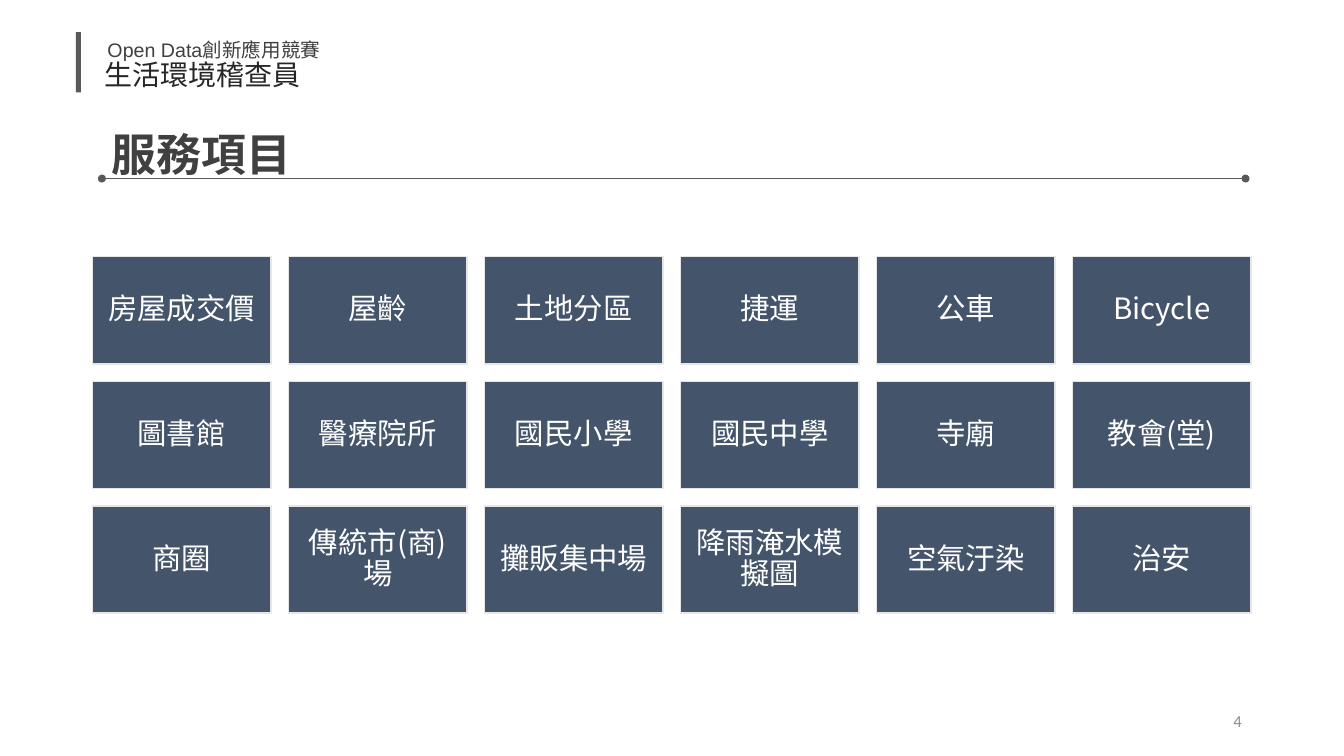
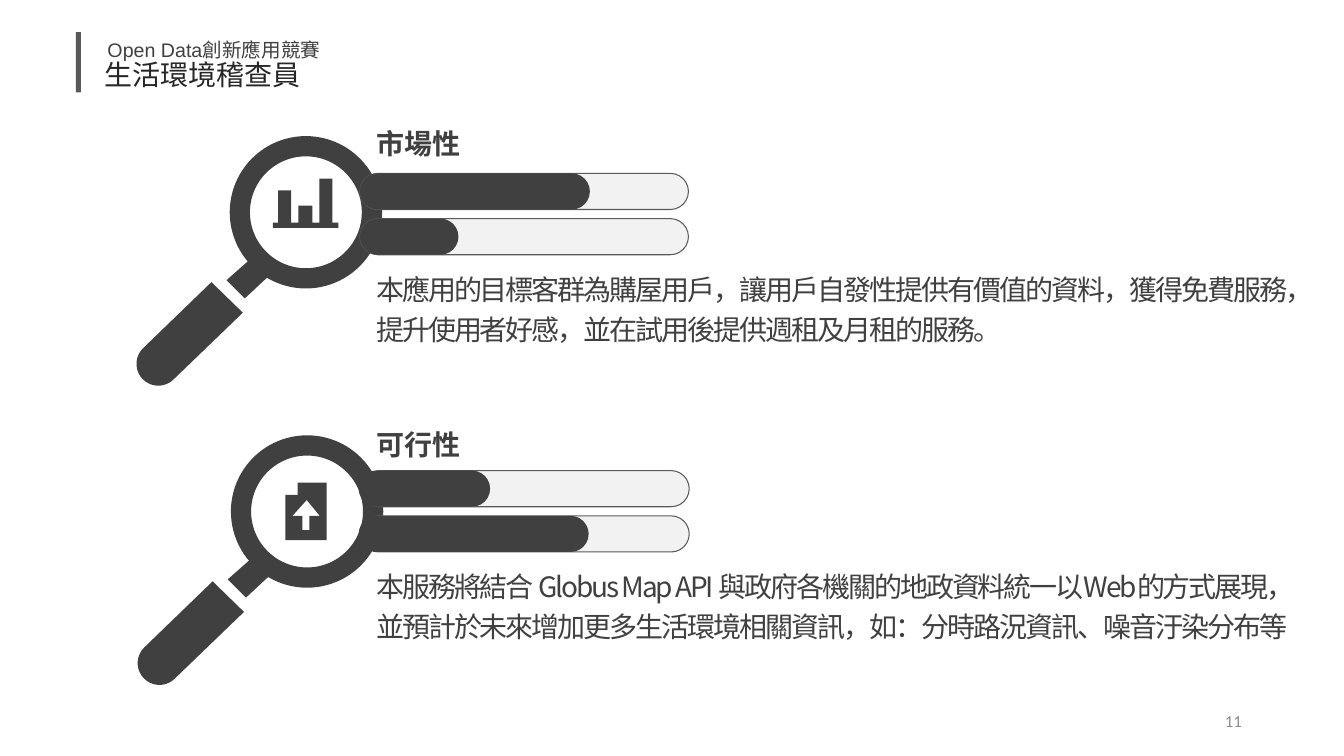
from math import cos, radians, sin

from lxml import etree
from pptx import Presentation
from pptx.dml.color import RGBColor
from pptx.enum.shapes import MSO_CONNECTOR, MSO_SHAPE
from pptx.enum.text import MSO_ANCHOR, MSO_AUTO_SIZE, PP_ALIGN
from pptx.oxml.ns import qn
from pptx.util import Cm, Pt

RECTANGLE, ELLIPSE = MSO_SHAPE.RECTANGLE, MSO_SHAPE.OVAL
PILL, DONUT = MSO_SHAPE.ROUNDED_RECTANGLE, MSO_SHAPE.DONUT
LEFT, CENTER, RIGHT = PP_ALIGN.LEFT, PP_ALIGN.CENTER, PP_ALIGN.RIGHT
TOP, MIDDLE = MSO_ANCHOR.TOP, MSO_ANCHOR.MIDDLE

WHITE = RGBColor(0xFF, 0xFF, 0xFF)
INK = RGBColor(0x26, 0x26, 0x26)
DARK = RGBColor(0x40, 0x40, 0x40)
GRAY = RGBColor(0x59, 0x59, 0x59)
PAGE_GRAY = RGBColor(0x8C, 0x8C, 0x8C)
TRACK = RGBColor(0xF2, 0xF2, 0xF2)
NAVY = RGBColor(0x44, 0x54, 0x6A)
PALE = RGBColor(0xE7, 0xE6, 0xE6)
CJK = "Noto Sans CJK SC"

# Content
CONTEST = "Open Data創新應用競賽"
PROJECT = "生活環境稽查員"
SERVICES_TITLE = "服務項目"
SERVICES = [
    ["房屋成交價", "屋齡", "土地分區", "捷運", "公車", "Bicycle"],
    ["圖書館", "醫療院所", "國民小學", "國民中學", "寺廟", "教會(堂)"],
    ["商圈", "傳統市(商)場", "攤販集中場", "降雨淹水模擬圖", "空氣汙染", "治安"],
]

# Icon outlines in cm, measured from the top left of the lens
CHART_ICON = [[
    (1.09, 2.31), (1.09, 2.18), (1.22, 2.18), (1.22, 1.37), (1.55, 1.37),
    (1.55, 2.18), (1.73, 2.18), (1.73, 1.75), (2.08, 1.75), (2.08, 2.18),
    (2.26, 2.18), (2.26, 1.07), (2.59, 1.07), (2.59, 2.18), (2.74, 2.18),
    (2.74, 2.31),
]]
UPLOAD_ICON = [
    [(1.68, 1.19), (1.68, 1.5), (1.37, 1.5), (1.37, 2.64), (2.41, 2.64), (2.41, 1.19)],
    [(1.55, 2.03), (1.91, 1.63), (2.24, 2.03), (1.98, 2.03), (1.98, 2.39),
     (1.8, 2.39), (1.8, 2.03)],
]
SECTIONS = [
    {"label": "市場性", "shares": [0.7, 0.3], "icon": CHART_ICON,
     "text": "本應用的目標客群為購屋用戶，讓用戶自發性提供有價值的資料，獲得免費服務，"
             "提升使用者好感，並在試用後提供週租及月租的服務。",
     "lens": (5.79, 3.43), "label_top": 3.1, "bars_top": 4.37, "text_top": 6.6,
     "track_left": 9.07, "bar_left": 9.07},
    {"label": "可行性", "shares": [0.4, 0.7], "icon": UPLOAD_ICON,
     "text": "本服務將結合 Globus Map API 與政府各機關的地政資料統一以Web的方式展現，"
             "並預計於未來增加更多生活環境相關資訊，如：分時路況資訊、噪音汙染分布等",
     "lens": (5.82, 10.97), "label_top": 10.67, "bars_top": 11.86, "text_top": 14.07,
     "track_left": 9.09, "bar_left": 9.04},
]

# Layout in cm
TILE_LEFT, TILE_TOP, TILE_WIDTH, TILE_HEIGHT, TILE_GAP = 2.33, 6.47, 4.5, 2.7, 0.44
RULE_LEFT, RULE_RIGHT, RULE_TOP, DOT = 2.57, 31.39, 4.5, 0.2
LENS_SIZE, LENS_RIM = 3.84, 0.51
NECK = [(1.12, 3.4), (0.38, 4.09), (-0.08, 3.63), (0.69, 2.95)]
CAP_X, CAP_Y, CAP_RADIUS = -1.8, 5.74, 0.55
HANDLE = [(0.33, 4.45), (-0.46, 3.68)] + [
    (CAP_X + CAP_RADIUS * cos(radians(angle)), CAP_Y + CAP_RADIUS * sin(radians(angle)))
    for angle in range(225, 44, -10)
]
BAR_WIDTH, BAR_HEIGHT, BAR_PITCH = 8.28, 0.91, 1.14


def write(shape, text, size, color, font=CJK, align=LEFT, bold=False, anchor=TOP,
          spacing=1.0, tracking=None, insets=(0.25, 0.13), wrap=True):
    frame = shape.text_frame
    frame.text = text
    frame.word_wrap = wrap
    frame.auto_size = MSO_AUTO_SIZE.NONE
    frame.vertical_anchor = anchor
    frame.margin_left = frame.margin_right = Cm(insets[0])
    frame.margin_top = frame.margin_bottom = Cm(insets[1])
    para = frame.paragraphs[0]
    para.alignment = align
    para.line_spacing = spacing
    para.font.name = font
    para.font.size = Pt(size)
    para.font.bold = bold
    para.font.color.rgb = color
    # East Asian typeface and letter spacing
    properties = para._p.pPr.find(qn("a:defRPr"))
    etree.SubElement(properties, qn("a:ea"), typeface=font)
    if tracking is not None:
        properties.set("spc", str(int(tracking * 100)))


def add_text(page, at, text, size, color, **style):
    box = page.shapes.add_textbox(*map(Cm, at))
    write(box, text, size, color, **style)


def paint(shape, fill, line=None, weight=1):
    shape.shadow.inherit = False
    shape.fill.solid()
    shape.fill.fore_color.rgb = fill
    if line is None:
        shape.line.fill.background()
    else:
        shape.line.color.rgb = line
        shape.line.width = Pt(weight)


def add_figure(page, kind, at, fill, line=None, weight=1):
    shape = page.shapes.add_shape(kind, *map(Cm, at))
    paint(shape, fill, line, weight)
    return shape


def add_outline(page, origin, contours):
    builder = None
    for contour in contours:
        points = [(Cm(origin[0] + x), Cm(origin[1] + y)) for x, y in contour]
        if builder is None:
            builder = page.shapes.build_freeform(*points[0])
        else:
            builder.move_to(*points[0])
        builder.add_line_segments(points[1:], close=True)
    paint(builder.convert_to_shape(), DARK)


def add_page(deck, layout, number):
    page = deck.slides.add_slide(deck.slide_layouts[layout])
    add_text(page, (2.46, 0.64, 7.37, 1.04), CONTEST, 14, DARK, font="Arial", spacing=1.3)
    add_text(page, (2.03, 1.32, 6.15, 1.12), PROJECT, 20, INK, align=CENTER)
    add_figure(page, RECTANGLE, (1.91, 0.81, 0.13, 1.52), GRAY)
    add_text(page, (23.93, 17.65, 7.62, 1.02), number, 12, PAGE_GRAY,
             font="Calibri", align=RIGHT, anchor=MIDDLE)
    return page


def add_title(page, text):
    title = page.shapes.title
    title.left, title.top, title.width, title.height = map(Cm, (2.57, 3.05, 8.48, 1.63))
    write(title, text, 32, DARK, bold=True)
    rule = page.shapes.add_connector(
        MSO_CONNECTOR.STRAIGHT, Cm(RULE_LEFT), Cm(RULE_TOP), Cm(RULE_RIGHT), Cm(RULE_TOP))
    rule.line.color.rgb = GRAY
    rule.line.width = Pt(0.5)
    etree.SubElement(rule._element.spPr, qn("a:effectLst"))
    for x in (RULE_LEFT, RULE_RIGHT):
        add_figure(page, ELLIPSE, (x - DOT / 2, RULE_TOP - DOT / 2, DOT, DOT), GRAY)


def add_services(deck):
    page = add_page(deck, 5, "4")
    add_title(page, SERVICES_TITLE)
    for row, names in enumerate(SERVICES):
        for column, name in enumerate(names):
            left = TILE_LEFT + column * (TILE_WIDTH + TILE_GAP)
            top = TILE_TOP + row * (TILE_HEIGHT + TILE_GAP)
            tile = add_figure(page, RECTANGLE, (left, top, TILE_WIDTH, TILE_HEIGHT), NAVY, PALE)
            write(tile, name, 21, WHITE, align=CENTER, anchor=MIDDLE,
                  spacing=0.9, insets=(0.22, 0.22))


def add_section(page, section):
    # Magnifier
    lens = section["lens"]
    add_outline(page, lens, [NECK])
    ring = add_figure(page, DONUT, (*lens, LENS_SIZE, LENS_SIZE), DARK)
    ring.adjustments[0] = LENS_RIM / LENS_SIZE
    add_outline(page, lens, [HANDLE])
    add_outline(page, lens, section["icon"])
    # Progress bars
    for index, share in enumerate(section["shares"]):
        top = section["bars_top"] + index * BAR_PITCH
        track = add_figure(page, PILL, (section["track_left"], top, BAR_WIDTH, BAR_HEIGHT),
                           TRACK, GRAY, 0.75)
        bar = add_figure(page, PILL, (section["bar_left"], top, BAR_WIDTH * share, BAR_HEIGHT),
                         DARK)
        track.adjustments[0] = bar.adjustments[0] = 0.5
    # Label and description
    add_text(page, (9.32, section["label_top"], 2.51, 1.04), section["label"], 20, DARK,
             bold=True, insets=(0.18, 0.1), wrap=False)
    add_text(page, (9.3, section["text_top"], 23.6, 2.24), section["text"], 20, DARK,
             spacing=1.2, tracking=-1.5, insets=(0.18, 0.1))


def main():
    deck = Presentation()
    deck.slide_width, deck.slide_height = Cm(33.87), Cm(19.05)
    add_services(deck)
    page = add_page(deck, 6, "11")
    for section in SECTIONS:
        add_section(page, section)
    deck.save("out.pptx")


if __name__ == "__main__":
    main()
